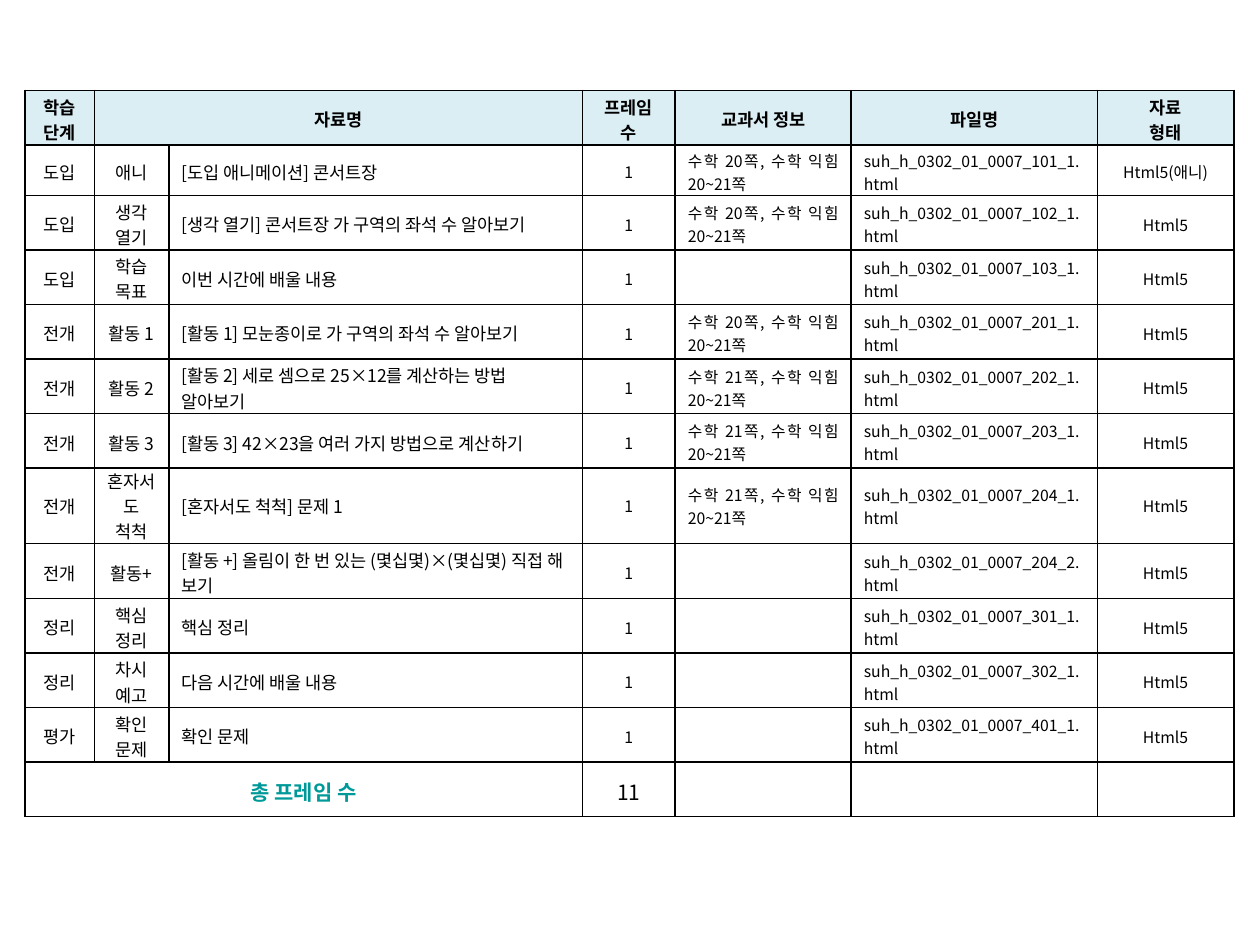
"""Build a slide with the lesson's table of learning materials."""
from lxml import etree
from pptx import Presentation
from pptx import util as u
from pptx.dml import color
from pptx.enum import text
from pptx.oxml import ns

FONT = "Noto Sans CJK KR"
BLACK, TEAL, PALE_BLUE = "000000", "009999", "DBEEF4"
CENTER, LEFT, JUSTIFY = text.PP_ALIGN.CENTER, text.PP_ALIGN.LEFT, text.PP_ALIGN.JUSTIFY


def paint(target, hex_color):
    """Give a font colour or a solid fill its colour."""
    target.rgb = color.RGBColor.from_string(hex_color)


def add_borders(cell):
    """Draw a black one-point line on every side of a cell."""
    properties = cell._tc.get_or_add_tcPr()
    for side in ("lnL", "lnR", "lnT", "lnB"):
        line = etree.SubElement(properties, ns.qn(f"a:{side}"), w=str(u.Pt(1)))
        fill = etree.SubElement(line, ns.qn("a:solidFill"))
        etree.SubElement(fill, ns.qn("a:srgbClr"), val=BLACK)


header = ["학습 단계", "자료명", "", "프레임 수", "교과서 정보", "파일명", "자료\n형태"]
materials = [
    ("도입", "애니", "[도입 애니메이션] 콘서트장", 20, "101_1"),
    ("도입", "생각 열기", "[생각 열기] 콘서트장 가 구역의 좌석 수 알아보기", 20, "102_1"),
    ("도입", "학습 목표", "이번 시간에 배울 내용", None, "103_1"),
    ("전개", "활동 1", "[활동 1] 모눈종이로 가 구역의 좌석 수 알아보기", 20, "201_1"),
    ("전개", "활동 2", "[활동 2] 세로 셈으로 25×12를 계산하는 방법 알아보기", 21, "202_1"),
    ("전개", "활동 3", "[활동 3] 42×23을 여러 가지 방법으로 계산하기", 21, "203_1"),
    ("전개", "혼자서도 척척", "[혼자서도 척척] 문제 1", 21, "204_1"),
    ("전개", "활동+", "[활동 +] 올림이 한 번 있는 (몇십몇)×(몇십몇) 직접 해 보기", None, "204_2"),
    ("정리", "핵심 정리", "핵심 정리", None, "301_1"),
    ("정리", "차시 예고", "다음 시간에 배울 내용", None, "302_1"),
    ("평가", "확인 문제", "확인 문제", None, "401_1"),
]
rows = [header]
for stage, activity, title, page, code in materials:
    textbook = f"수학 {page}쪽, 수학 익힘 20~21쪽" if page else ""
    file_type = "Html5(애니)" if activity == "애니" else "Html5"
    rows.append([stage, activity, title, "1", textbook,
                 f"suh_h_0302_01_0007_{code}.html", file_type])
rows.append(["총 프레임 수", "", "", str(len(materials)), "", "", ""])

column_widths = [39.7, 42.6, 236.3, 53.1, 100.6, 140.6, 78]
body_alignments = [CENTER, CENTER, LEFT, CENTER, JUSTIFY, JUSTIFY, CENTER]
body_sizes = [10, 10, 10, 9, 9, 9, 9]
row_heights = [31.2] * len(rows)
row_heights[1], row_heights[7] = 28.8, 43.2
last_row = len(rows) - 1

presentation = Presentation()
presentation.slide_width, presentation.slide_height = u.Pt(720), u.Pt(540)
slide = presentation.slides.add_slide(presentation.slide_layouts[6])
table = slide.shapes.add_table(
    len(rows), len(header), u.Pt(14.2), u.Pt(51.6),
    u.Pt(sum(column_widths)), u.Pt(sum(row_heights))).table
table.first_row = table.horz_banding = False
for column, width in zip(table.columns, column_widths):
    column.width = u.Pt(width)
for row, height in zip(table.rows, row_heights):
    row.height = u.Pt(height)
table.cell(0, 1).merge(table.cell(0, 2))
table.cell(last_row, 0).merge(table.cell(last_row, 2))

for row_index, values in enumerate(rows):
    is_header, is_total = row_index == 0, row_index == last_row
    for column_index, value in enumerate(values):
        cell = table.cell(row_index, column_index)
        add_borders(cell)
        if is_header:
            cell.fill.solid()
            paint(cell.fill.fore_color, PALE_BLUE)
        else:
            cell.fill.background()
        cell.vertical_anchor = text.MSO_ANCHOR.MIDDLE
        cell.margin_top = u.Pt(0 if row_heights[row_index] > 40 else 2)
        cell.margin_bottom = u.Pt(0)
        if not value:
            continue
        cell.text_frame.text = value
        is_total_label = is_total and column_index == 0
        size = 10 if is_header else 12 if is_total else body_sizes[column_index]
        for paragraph in cell.text_frame.paragraphs:
            paragraph.alignment = CENTER if is_header or is_total else body_alignments[column_index]
            for run in paragraph.runs:
                run.font.size = u.Pt(size)
                run.font.bold = is_header or is_total_label
                run.font.name = FONT
                paint_color = TEAL if is_total_label else BLACK
                run.font.fill.solid()
                paint(run.font.fill.fore_color, paint_color)
                etree.SubElement(run._r.get_or_add_rPr(), ns.qn("a:ea"), typeface=FONT)

presentation.save("out.pptx")
